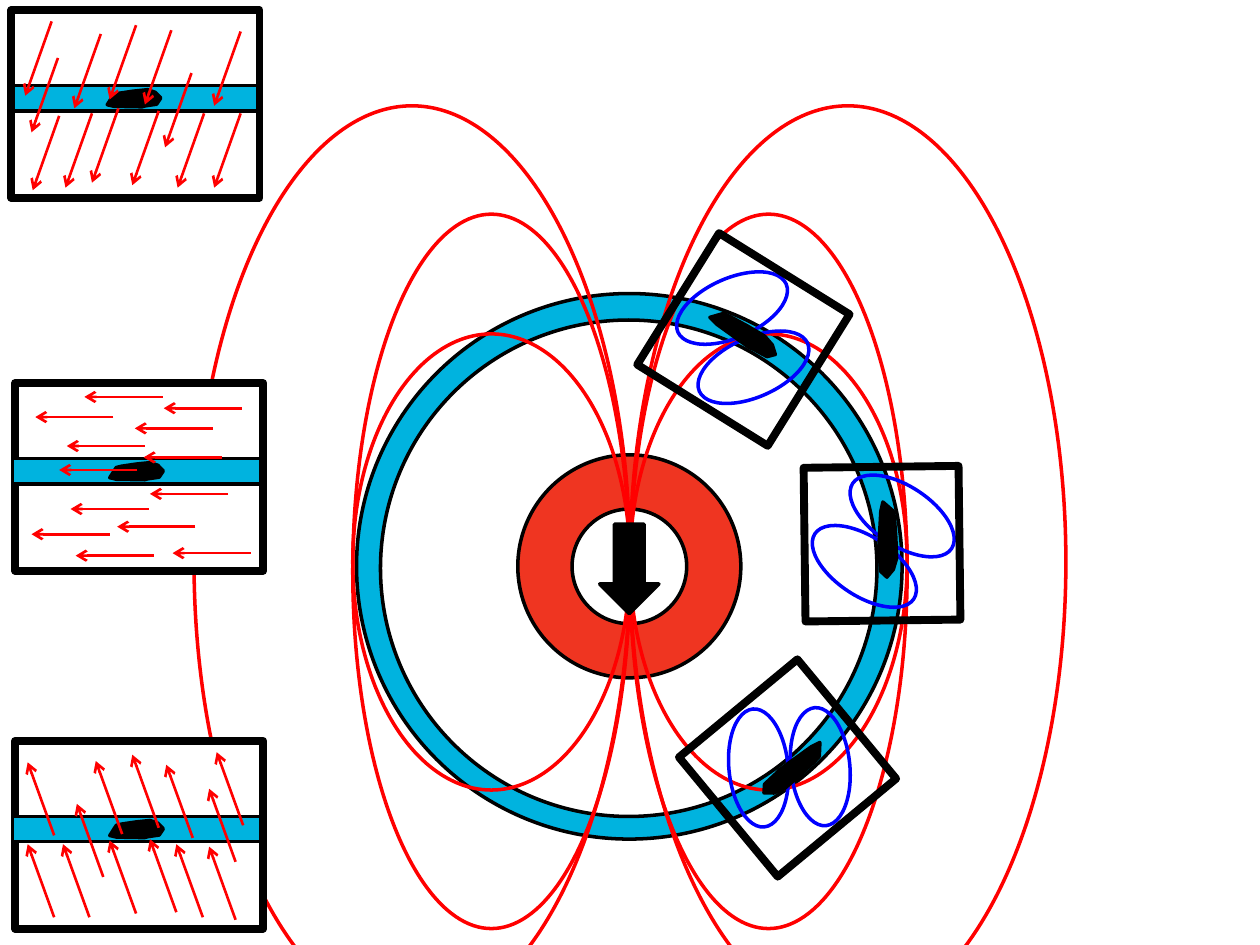
from lxml import etree
from pptx import Presentation
from pptx.dml.color import RGBColor
from pptx.enum.shapes import MSO_CONNECTOR, MSO_SHAPE
from pptx.oxml.ns import qn
from pptx.util import Cm, Pt

OVAL = MSO_SHAPE.OVAL
RECT = MSO_SHAPE.RECTANGLE
DOWN_ARROW = MSO_SHAPE.DOWN_ARROW
STRAIGHT = MSO_CONNECTOR.STRAIGHT

BLACK = RGBColor(0x00, 0x00, 0x00)
WHITE = RGBColor(0xFF, 0xFF, 0xFF)
CYAN = RGBColor(0x00, 0xB3, 0xDF)
CORE = RGBColor(0xEF, 0x35, 0x21)
RED = RGBColor(0xFF, 0x00, 0x00)
BLUE = RGBColor(0x00, 0x00, 0xFF)

INCH = 2.54
BODY = [(6, 0), (62, 11), (71, 21), (87, 47), (100, 74), (89, 89),
        (61, 100), (27, 93), (14, 72), (8, 66), (0, 13)]

prs = Presentation()
prs.slide_width = Cm(10 * INCH)
prs.slide_height = Cm(7.5 * INCH)
s = prs.slides.add_slide(prs.slide_layouts[6])


def draw(kind, box, fill, line, width=2, rot=0):
    x, y, w, h = [Cm(v * INCH) for v in box]
    if kind == "body":
        fb = s.shapes.build_freeform(*BODY[0], scale=(w / 100, h / 100))
        fb.add_line_segments(BODY[1:], close=True)
        sp = fb.convert_to_shape(x, y)
    else:
        sp = s.shapes.add_shape(kind, x, y, w, h)
    sp.shadow.inherit = False
    sp.rotation = rot
    if fill is None:
        sp.fill.background()
    else:
        sp.fill.solid()
        sp.fill.fore_color.rgb = fill
    sp.line.color.rgb = line
    sp.line.width = Pt(width)


def draw_arrows(starts, dx, dy, end):
    for x, y in starts:
        points = [Cm(v * INCH) for v in (x, y, x + dx, y + dy)]
        c = s.shapes.add_connector(STRAIGHT, *points)
        c.line.color.rgb = RED
        c.line.width = Pt(1.5)
        etree.SubElement(c.line._get_or_add_ln(), qn(end), type="arrow")
        etree.SubElement(c._element.spPr, qn("a:effectLst"))


rings = [
    ((2.83, 2.33, 4.33, 4.33), CYAN),
    ((3.02, 2.54, 3.94, 3.94), WHITE),
    ((4.11, 3.61, 1.77, 1.77), CORE),
    ((4.54, 4.04, 0.91, 0.91), WHITE),
]
for box, fill in rings:
    draw(OVAL, box, fill, BLACK)

for top, w, h in [(1.7, 2.2, 5.67), (2.65, 2.2, 3.62), (0.84, 3.46, 7.24)]:
    for left in (5, 5 - w):
        draw(OVAL, (left, top, w, h), None, RED)
draw(DOWN_ARROW, (4.76, 4.16, 0.47, 0.71), BLACK, BLACK)

stations = [
    ([(6.69, 3.86), (6.39, 4.26)], 33.4, (6.97, 3.99), 5.4, (6.39, 3.7), 89.3),
    ([(5.34, 2.21), (5.51, 2.68)], 336, (5.83, 2.35), 308, (5.29, 2.08), 31.9),
    ([(6.04, 5.85), (5.55, 5.86)], 84.5, (6.22, 5.82), 56.5, (5.64, 5.48), 140.4),
]
for lobes, lobe_rot, body, body_rot, frame, frame_rot in stations:
    for lobe in lobes:
        draw(OVAL, (*lobe, 0.94, 0.47), None, BLUE, rot=lobe_rot)
    draw("body", (*body, 0.16, 0.59), BLACK, BLACK, rot=body_rot)
    draw(RECT, (*frame, 1.22, 1.23), None, BLACK, 4.5, frame_rot)

north_under = [(0.41, 0.17), (0.8, 0.27), (1.52, 0.58), (1.62, 0.9), (1.91, 0.9),
               (1.91, 0.25), (0.46, 0.46), (0.73, 0.9), (0.47, 0.92)]
north_over = [(1.08, 0.2), (0.94, 0.86), (1.36, 0.24), (1.26, 0.88)]
draw(RECT, (0.08, 0.68, 1.97, 0.2), CYAN, BLACK)
draw(RECT, (0.09, 0.08, 1.97, 1.49), None, BLACK, 4.5)
draw_arrows(north_under, -0.21, 0.59, "a:tailEnd")
draw("body", (0.99, 0.57, 0.15, 0.42), BLACK, BLACK, rot=274)
draw_arrows(north_over, -0.21, 0.59, "a:tailEnd")

equator = [(1.92, 3.24), (1.69, 3.4), (1.55, 4.18), (1.99, 4.39), (1.29, 3.15),
           (1.15, 3.54), (0.9, 3.31), (1.76, 3.63), (1.09, 3.73), (1.81, 3.92),
           (1.18, 4.04), (0.87, 4.24), (1.22, 4.41)]
south = [(1.72, 5.97), (1.32, 6.07), (0.61, 6.38), (0.22, 6.05), (1.66, 6.26),
         (1.4, 6.7), (1.66, 6.72), (1.05, 5.99), (1.19, 6.66), (0.76, 6.04),
         (0.87, 6.67), (0.5, 6.7), (0.22, 6.7)]
panels = [
    (3.04, equator, -0.62, 0, "a:tailEnd"),
    (5.88, south, 0.21, 0.58, "a:headEnd"),
]
for top, starts, dx, dy, end in panels:
    draw(RECT, (0.12, top, 1.97, 1.49), WHITE, BLACK, 4.5)
    draw(RECT, (0.1, top + 0.6, 1.97, 0.2), CYAN, BLACK)
    draw("body", (1.01, top + 0.49, 0.15, 0.42), BLACK, BLACK, rot=274)
    draw_arrows(starts, dx, dy, end)

prs.save("out.pptx")
